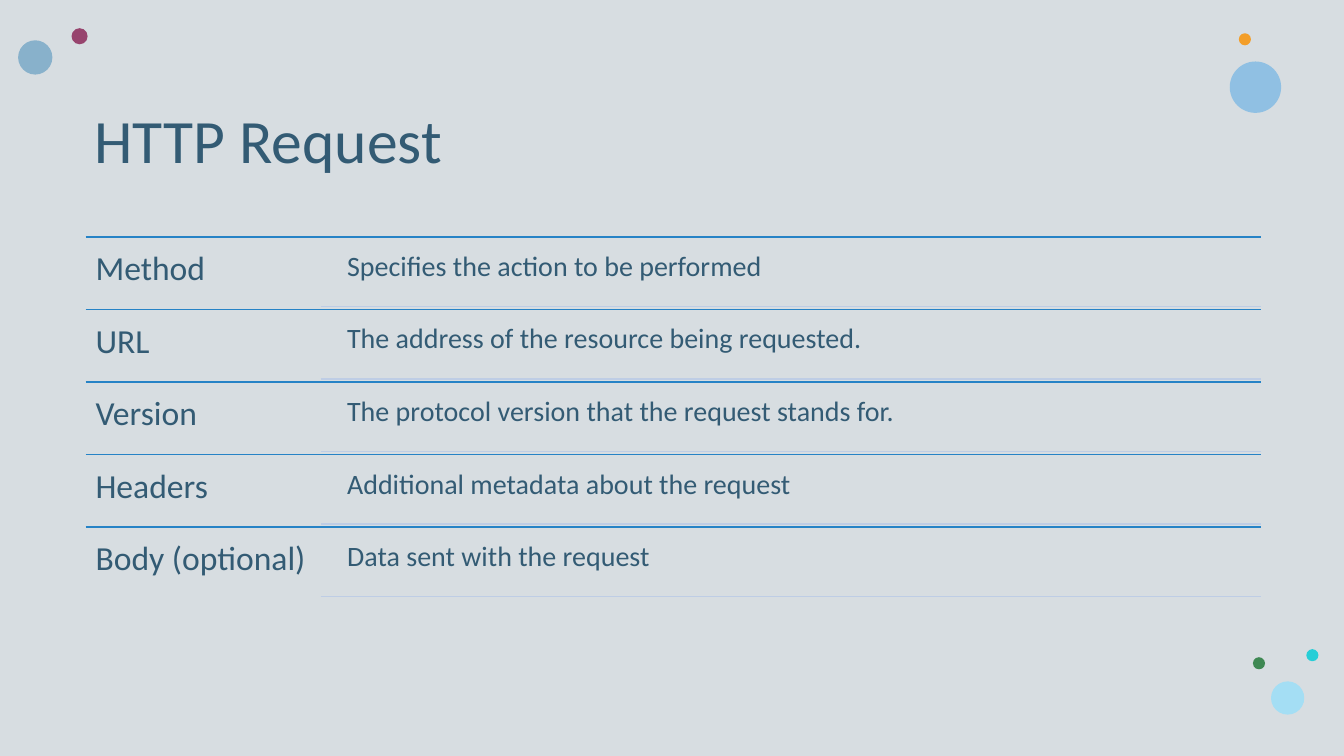
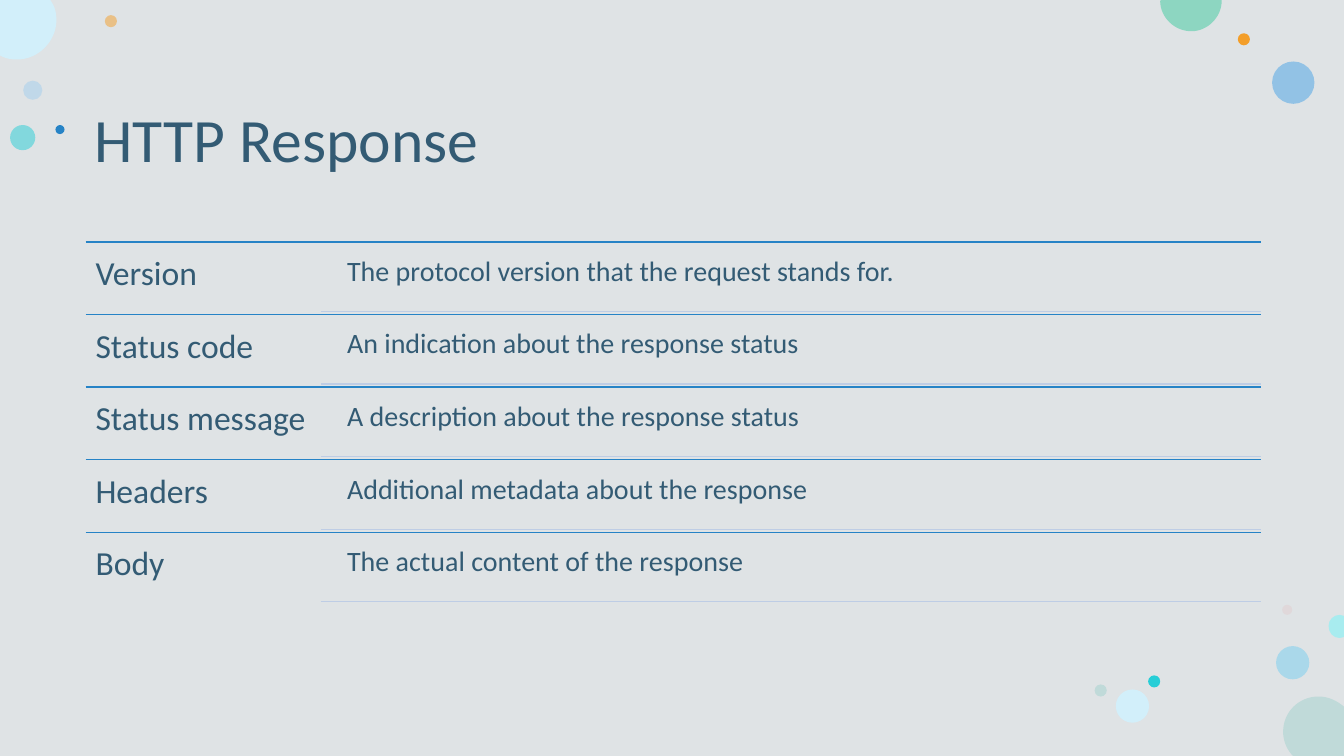
import pptx
import pptx.dml.color
import pptx.enum.shapes
import pptx.enum.text
import pptx.oxml
import pptx.oxml.ns
import pptx.util
from pptx.util import Inches

SLIDE_WIDTH, SLIDE_HEIGHT = 40 / 3, 7.5
FONT = "Calibri"
COLORS = {
    "background": "DFE5E8", "response_panel": "DFE3E5", "veil": "C6CDD1",
    "text": "335B74", "rule": "2683C6", "underline": "BECDE5",
    "plum": "97446E", "orange": "F39E29", "green": "3E8853",
    "turquoise": "27CED7", "steel": "88B1CB", "sky": "75B6E5",
    "ice": "A4DEF4", "frost": "D2EFFA", "mist": "A3CEED",
    "azure": "77CEEF", "rose": "E3BEBE", "sage": "C0DAD9",
    "mint": "8DD6C1", "aqua": "A8ECEF",
}

TERM_LEFT, TERM_WIDTH, TERM_INSET = 0.85, 2.33, pptx.util.Pt(7.2)
DETAIL_LEFT, TABLE_RIGHT, DETAIL_INSET = 3.36, 12.51, pptx.util.Pt(6)
ROW_PITCH, DETAIL_OFFSET, DETAIL_HEIGHT, UNDERLINE_OFFSET = 0.72, 0.03, 0.65, 0.69

# Panels: colour, opacity in percent
REQUEST_PANELS = [("background", 100), ("veil", 30)]
RESPONSE_PANELS = [("response_panel", 100)]

# Bubbles: left, top, diameter, colour, opacity in percent
REQUEST_BUBBLES = [
    (0.71, 0.28, 0.16, "plum", 100),
    (12.2, 0.61, 0.51, "sky", 72),
    (12.29, 0.33, 0.12, "orange", 100),
    (0.18, 0.4, 0.34, "steel", 100),
    (12.96, 6.44, 0.12, "turquoise", 100),
    (12.61, 6.76, 0.33, "ice", 100),
    (12.43, 6.52, 0.12, "green", 100),
]
RESPONSE_BUBBLES = [
    (0.23, 0.8, 0.19, "mist", 50),
    (1.04, 0.15, 0.12, "orange", 50),
    (12.66, 6.41, 0.33, "azure", 50),
    (0.1, 1.24, 0.25, "turquoise", 50),
    (12.62, 0.61, 0.42, "sky", 72),
    (12.28, 0.33, 0.12, "orange", 100),
    (12.72, 6, 0.1, "rose", 28),
    (11.39, 6.7, 0.12, "turquoise", 100),
    (11.07, 6.84, 0.33, "frost", 100),
    (10.86, 6.79, 0.12, "sage", 100),
    (0.55, 1.24, 0.09, "rule", 100),
]
# Bubbles cut by the slide edge: colour, start, then segments;
# one point makes a straight segment, three make a curve
EDGE_BUBBLES = [
    ("sage", (13.08, 6.91), [
        [(13.18, 6.91), (13.26, 6.95), (SLIDE_WIDTH, 7.01)],
        [(SLIDE_WIDTH, SLIDE_HEIGHT)], [(12.83, SLIDE_HEIGHT)], [(12.81, 7.48)],
        [(12.76, 7.42), (12.73, 7.34), (12.73, 7.26)],
        [(12.73, 7.06), (12.89, 6.91), (13.08, 6.91)]]),
    ("frost", (0, 0), [
        [(0.5, 0)], [(0.53, 0.05)],
        [(0.55, 0.09), (0.56, 0.14), (0.56, 0.2)],
        [(0.56, 0.41), (0.38, 0.59), (0.17, 0.59)],
        [(0.11, 0.59), (0.06, 0.58), (0.02, 0.56)], [(0, 0.55)]]),
    ("mint", (11.52, 0), [
        [(12.12, 0)], [(12.12, 0.01)],
        [(12.12, 0.17), (11.98, 0.31), (11.82, 0.31)],
        [(11.65, 0.31), (11.51, 0.17), (11.51, 0.01)]]),
    ("aqua", (13.29, 6.1), [
        [(SLIDE_WIDTH, 6.11)], [(SLIDE_WIDTH, 6.32)], [(13.29, 6.33)],
        [(13.23, 6.33), (13.18, 6.28), (13.18, 6.21)],
        [(13.18, 6.15), (13.23, 6.1), (13.29, 6.1)]]),
]

REQUEST_PARTS = [
    ("Method", "Specifies the action to be performed"),
    ("URL", "The address of the resource being requested."),
    ("Version", "The protocol version that the request stands for."),
    ("Headers", "Additional metadata about the request"),
    ("Body (optional)", "Data sent with the request"),
]
RESPONSE_PARTS = [
    ("Version", "The protocol version that the request stands for."),
    ("Status code", "An indication about the response status"),
    ("Status message", "A description about the response status"),
    ("Headers", "Additional metadata about the response"),
    ("Body", "The actual content of the response"),
]


def rgb(name):
    return pptx.dml.color.RGBColor.from_string(COLORS[name])


def fill_plain(shape, color, opacity=100):
    shape.shadow.inherit = False
    shape.line.fill.background()
    shape.fill.solid()
    shape.fill.fore_color.rgb = rgb(color)
    if opacity < 100:
        color_element = shape.fill._xPr.find(".//" + pptx.oxml.ns.qn("a:srgbClr"))
        color_element.append(pptx.oxml.parse_xml(
            f'<a:alpha {pptx.oxml.ns.nsdecls("a")} val="{opacity * 1000}"/>'))


def add_panel(slide, color, opacity):
    panel = slide.shapes.add_shape(
        pptx.enum.shapes.MSO_SHAPE.RECTANGLE,
        0, 0, Inches(SLIDE_WIDTH), Inches(SLIDE_HEIGHT))
    fill_plain(panel, color, opacity)


def add_bubble(slide, left, top, diameter, color, opacity):
    bubble = slide.shapes.add_shape(
        pptx.enum.shapes.MSO_SHAPE.OVAL,
        Inches(left), Inches(top), Inches(diameter), Inches(diameter))
    fill_plain(bubble, color, opacity)


def add_edge_bubble(slide, color, start, segments):
    """Draw an outline, turning each three-point segment into a curve."""
    points = [(Inches(x), Inches(y)) for segment in segments for x, y in segment]
    builder = slide.shapes.build_freeform(Inches(start[0]), Inches(start[1]))
    builder.add_line_segments(points, close=True)
    bubble = builder.convert_to_shape()
    lines = iter(list(bubble._element.iter(pptx.oxml.ns.qn("a:lnTo"))))
    for segment in segments:
        first, *others = [next(lines) for _ in segment]
        if others:
            first.addprevious(curve := pptx.oxml.parse_xml(
                f'<a:cubicBezTo {pptx.oxml.ns.nsdecls("a")}/>'))
            for line in (first, *others):
                curve.append(line[0])
                line.getparent().remove(line)
    fill_plain(bubble, color)


def add_text(slide, left, top, width, height, text, size, insets, line_spacing=1.0):
    """Add top-anchored text; insets are horizontal and vertical."""
    box = slide.shapes.add_textbox(
        Inches(left), Inches(top), Inches(width), Inches(height))
    frame = box.text_frame
    frame.word_wrap = True
    frame.vertical_anchor = pptx.enum.text.MSO_ANCHOR.TOP
    frame.margin_left = frame.margin_right = insets[0]
    frame.margin_top = frame.margin_bottom = insets[1]
    paragraph = frame.paragraphs[0]
    paragraph.line_spacing = line_spacing
    run = paragraph.add_run()
    run.text = text
    run.font.name = FONT
    run.font.size = pptx.util.Pt(size)
    run.font.color.rgb = rgb("text")


def add_rule(slide, left, y, color):
    rule = slide.shapes.add_connector(
        pptx.enum.shapes.MSO_CONNECTOR.STRAIGHT,
        Inches(left), Inches(y), Inches(TABLE_RIGHT), Inches(y))
    rule.line.color.rgb = rgb(color)
    rule.line.width = pptx.util.Pt(1)
    rule._element.spPr.append(
        pptx.oxml.parse_xml(f'<a:effectLst {pptx.oxml.ns.nsdecls("a")}/>'))


def add_parts(slide, top, parts):
    """List message parts: a ruled term with an underlined detail per row."""
    for index, (term, detail) in enumerate(parts):
        y = top + index * ROW_PITCH
        add_rule(slide, TERM_LEFT, y, "rule")
        add_text(slide, TERM_LEFT, y, TERM_WIDTH, ROW_PITCH, term, 24,
                 (TERM_INSET, TERM_INSET))
        add_text(slide, DETAIL_LEFT, y + DETAIL_OFFSET, TABLE_RIGHT - DETAIL_LEFT,
                 DETAIL_HEIGHT, detail, 20, (DETAIL_INSET, DETAIL_INSET))
        add_rule(slide, TERM_LEFT + TERM_WIDTH, y + UNDERLINE_OFFSET, "underline")


def add_message_slide(deck, title, title_height, panels, bubbles, edge_bubbles,
                      top, parts):
    slide = deck.slides.add_slide(deck.slide_layouts[6])
    slide.background.fill.solid()
    slide.background.fill.fore_color.rgb = rgb("background")
    for panel in panels:
        add_panel(slide, *panel)
    for bubble in bubbles:
        add_bubble(slide, *bubble)
    for bubble in edge_bubbles:
        add_edge_bubble(slide, *bubble)
    add_text(slide, 0.84, 1.04, 11.78, title_height, title, 44,
             (Inches(0.1), Inches(0.05)), 0.9)
    add_parts(slide, top, parts)


def main():
    deck = pptx.Presentation()
    deck.slide_width = Inches(SLIDE_WIDTH)
    deck.slide_height = Inches(SLIDE_HEIGHT)
    add_message_slide(deck, "HTTP Request", 1.05, REQUEST_PANELS,
                      REQUEST_BUBBLES, [], 2.35, REQUEST_PARTS)
    add_message_slide(deck, "HTTP Response", 1.16, RESPONSE_PANELS,
                      RESPONSE_BUBBLES, EDGE_BUBBLES, 2.4, RESPONSE_PARTS)
    deck.save("out.pptx")


if __name__ == "__main__":
    main()
